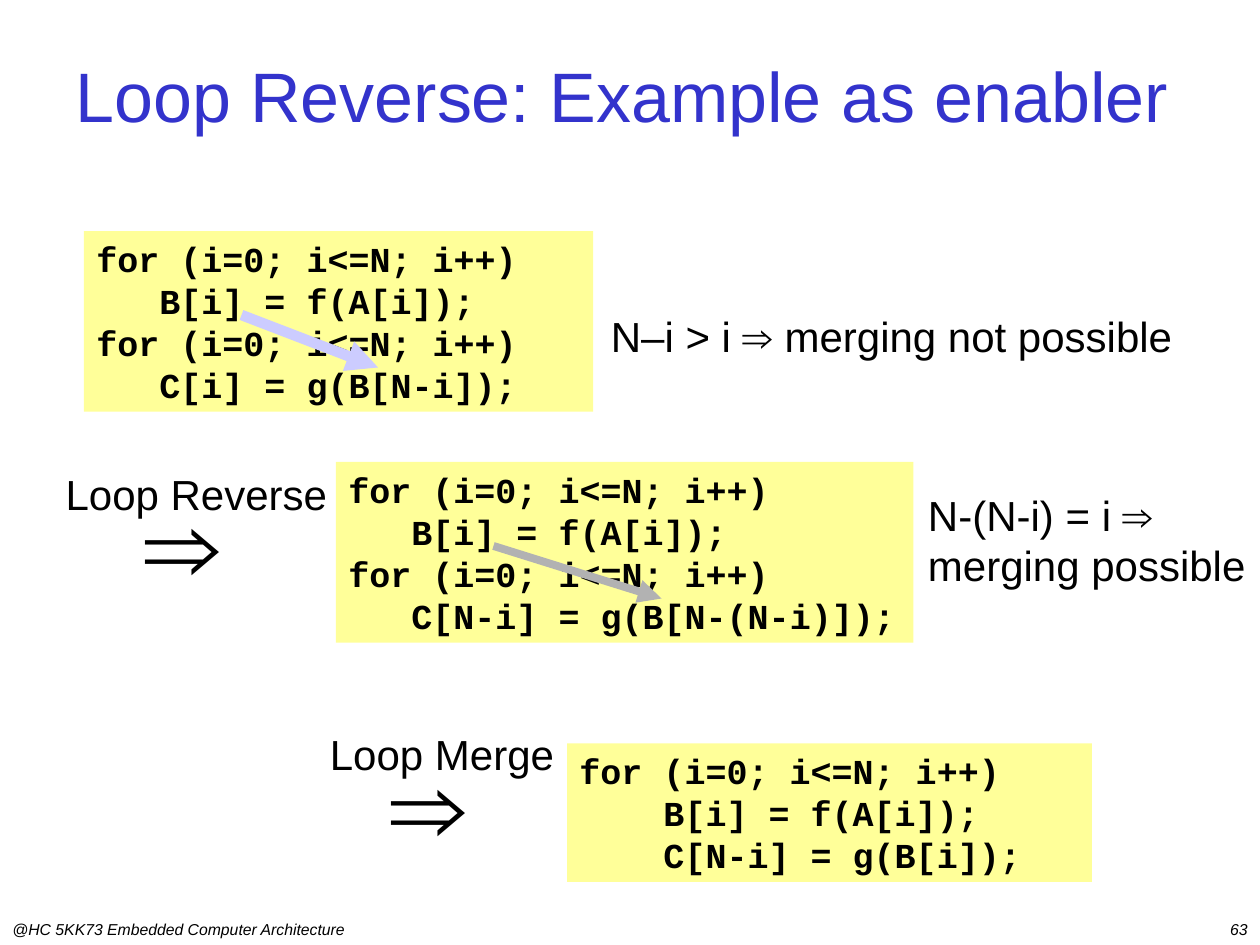
from lxml import etree
from pptx import Presentation
from pptx import util as u
from pptx.dml.color import RGBColor
from pptx.enum import shapes, text
from pptx.oxml.ns import qn

PX = 7620  # EMU per px, 120 px to the inch
COLORS = {"ink": "000000", "title": "3333CC", "code": "FFFF99",
          "blocked": "CCCCFF", "allowed": "B2B2B2"}
TOP, MIDDLE = text.MSO_ANCHOR.TOP, text.MSO_ANCHOR.MIDDLE
LEFT, CENTER, RIGHT = text.PP_ALIGN.LEFT, text.PP_ALIGN.CENTER, text.PP_ALIGN.RIGHT


def rgb(name):
    return RGBColor.from_string(COLORS[name])


def px(*values):
    return [u.Emu(v * PX) for v in values]


def write(sp, lines, size, font="Arial", color="ink", bold=False, italic=False,
          align=LEFT, anchor=TOP, wrap=True):
    tf = sp.text_frame
    tf.word_wrap = wrap
    tf.vertical_anchor = anchor
    for i, line in enumerate(lines):
        p = tf.paragraphs[0] if i == 0 else tf.add_paragraph()
        p.text = line
        p.alignment = align
        p.font.size = u.Pt(size)
        p.font.name = font
        p.font.bold = bold
        p.font.italic = italic
        p.font.color.rgb = rgb(color)


def add_text(s, box, lines, size, **style):
    write(s.shapes.add_textbox(*px(*box)), lines, size, **style)


def add_title(s, box, title):
    add_text(s, box, [title], 40, color="title", anchor=MIDDLE)


def add_footer(s, box, course, number):
    x, y, w, h = box
    add_text(s, (x, y, 360, h), [course], 9, italic=True)
    add_text(s, (x + w - 250, y, 250, h), [number], 9, italic=True, align=RIGHT)


def add_code(s, box, lines):
    sp = s.shapes.add_shape(shapes.MSO_SHAPE.RECTANGLE, *px(*box))
    sp.shadow.inherit = False
    sp.fill.solid()
    sp.fill.fore_color.rgb = rgb("code")
    sp.line.fill.background()
    write(sp, lines, 20, font="Courier New", bold=True)


def add_dependency(s, box, start, end, color, width):
    """Arrow from the written element to the read one, inside a code box."""
    x, y = box[:2]
    line = s.shapes.add_connector(
        shapes.MSO_CONNECTOR.STRAIGHT,
        *px(x + start[0], y + start[1], x + end[0], y + end[1]))
    line.line.color.rgb = rgb(color)
    line.line.width = u.Pt(width)
    etree.SubElement(line.line._get_or_add_ln(), qn("a:tailEnd"), type="triangle")
    etree.SubElement(line._element.spPr, qn("a:effectLst"))


def add_step(s, box, name, arrow_dx):
    """Name of a transformation with a big arrow under it."""
    x, y = box[:2]
    add_text(s, (x + arrow_dx, y + 10, 122, 132), ["⇒"], 60,
             font="Times New Roman", bold=True, wrap=False)
    add_text(s, box, [name], 24, align=CENTER, anchor=MIDDLE, wrap=False)


def add_note(s, box, lines):
    add_text(s, box, lines, 24, anchor=MIDDLE, wrap=False)


def main():
    prs = Presentation()
    prs.slide_width, prs.slide_height = px(1200, 900)
    s = prs.slides.add_slide(prs.slide_layouts[6])
    loop = "for (i=0; i<=N; i++)"

    add_footer(s, (0, 870, 1200, 30), "@HC 5KK73 Embedded Computer Architecture", "63")
    add_title(s, (60, 40, 1128, 100), "Loop Reverse: Example as enabler")

    # Two separate loops
    box = (80, 220, 485, 172)
    add_code(s, box, [loop, "   B[i] = f(A[i]);", loop, "   C[i] = g(B[N-i]);"])
    add_dependency(s, box, (150, 80), (280, 130), "blocked", 6)
    add_note(s, (570, 290, 570, 60), ["N–i > i ⇒ merging not possible"])

    # Second loop reversed
    box = (320, 440, 550, 172)
    add_step(s, (50, 440, 274, 60), "Loop Reverse", 76)
    add_code(s, box, [loop, "   B[i] = f(A[i]);", loop, "   C[N-i] = g(B[N-(N-i)]);"])
    add_dependency(s, box, (150, 80), (310, 130), "allowed", 4.5)
    add_note(s, (872, 460, 328, 108), ["N-(N-i) = i ⇒", "merging possible"])

    # Loops merged
    add_step(s, (302, 688, 238, 60), "Loop Merge", 58)
    add_code(s, (540, 708, 500, 132),
             [loop, "    B[i] = f(A[i]);", "    C[N-i] = g(B[i]);"])

    prs.save("out.pptx")


if __name__ == "__main__":
    main()
